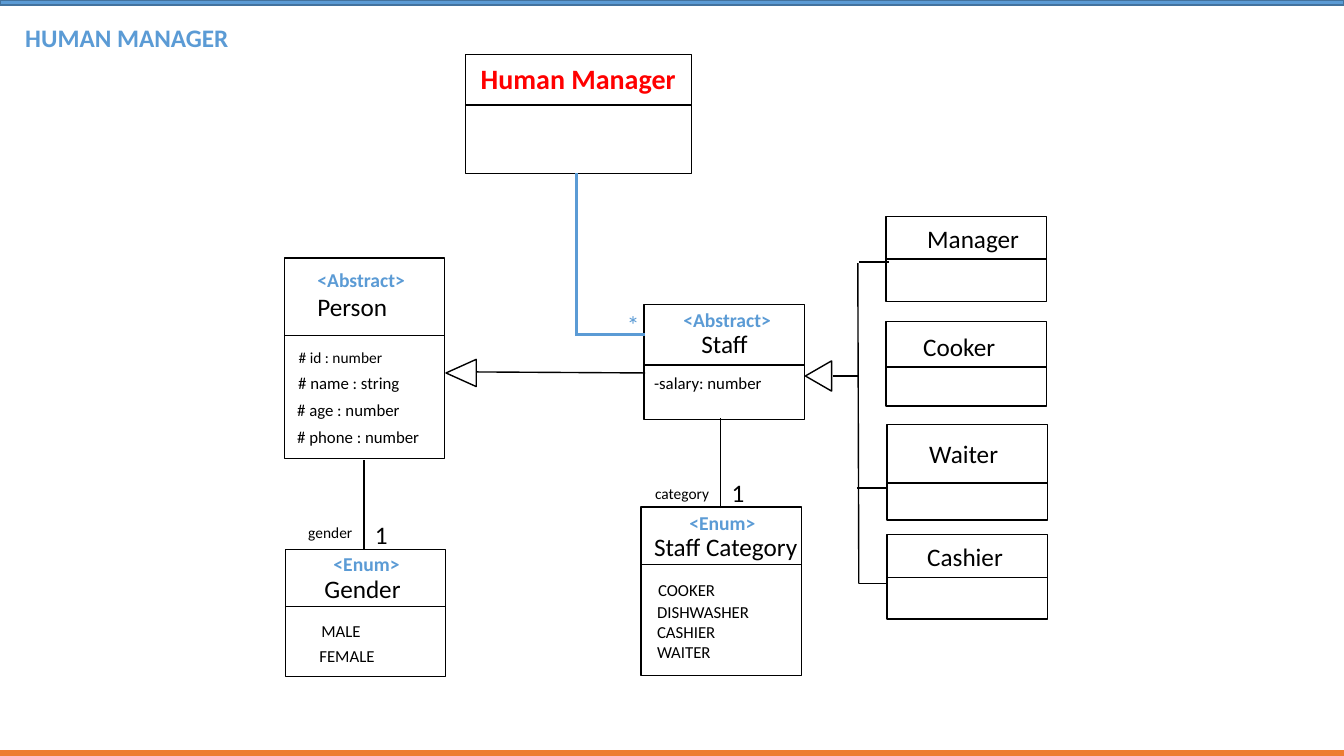
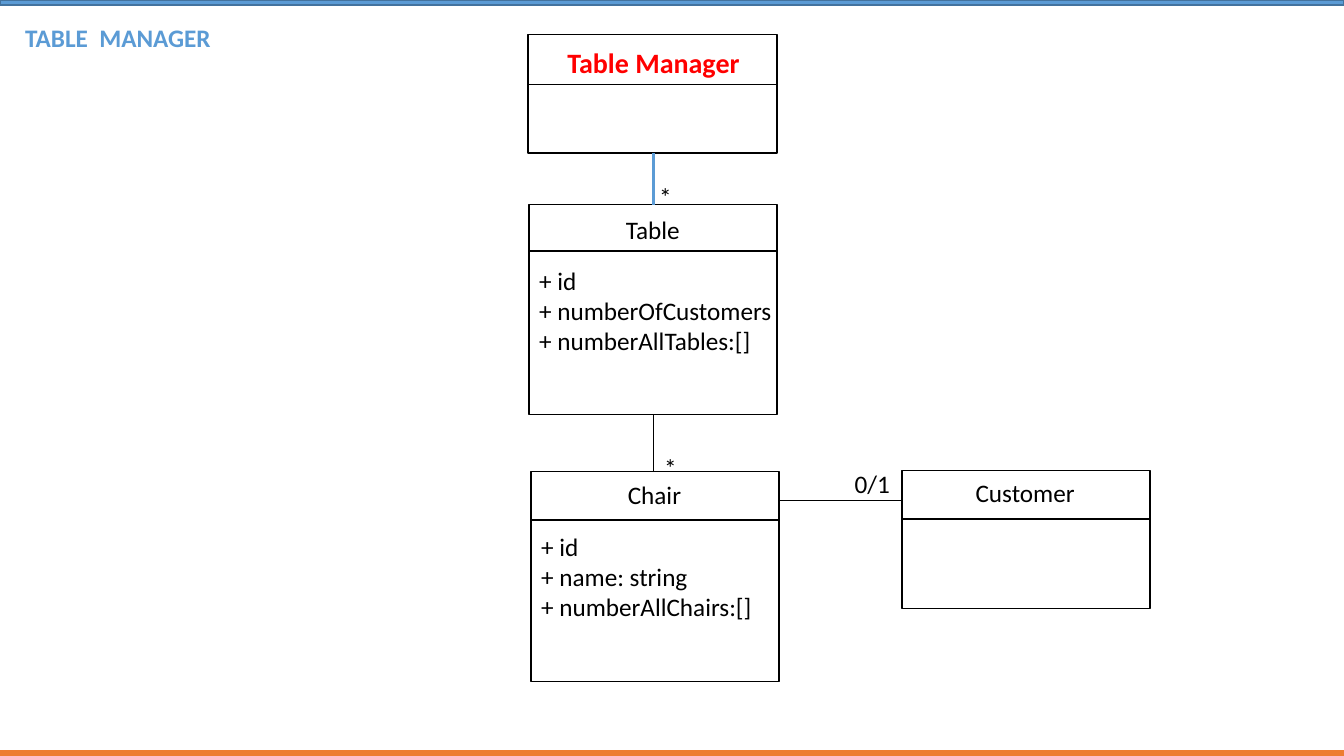
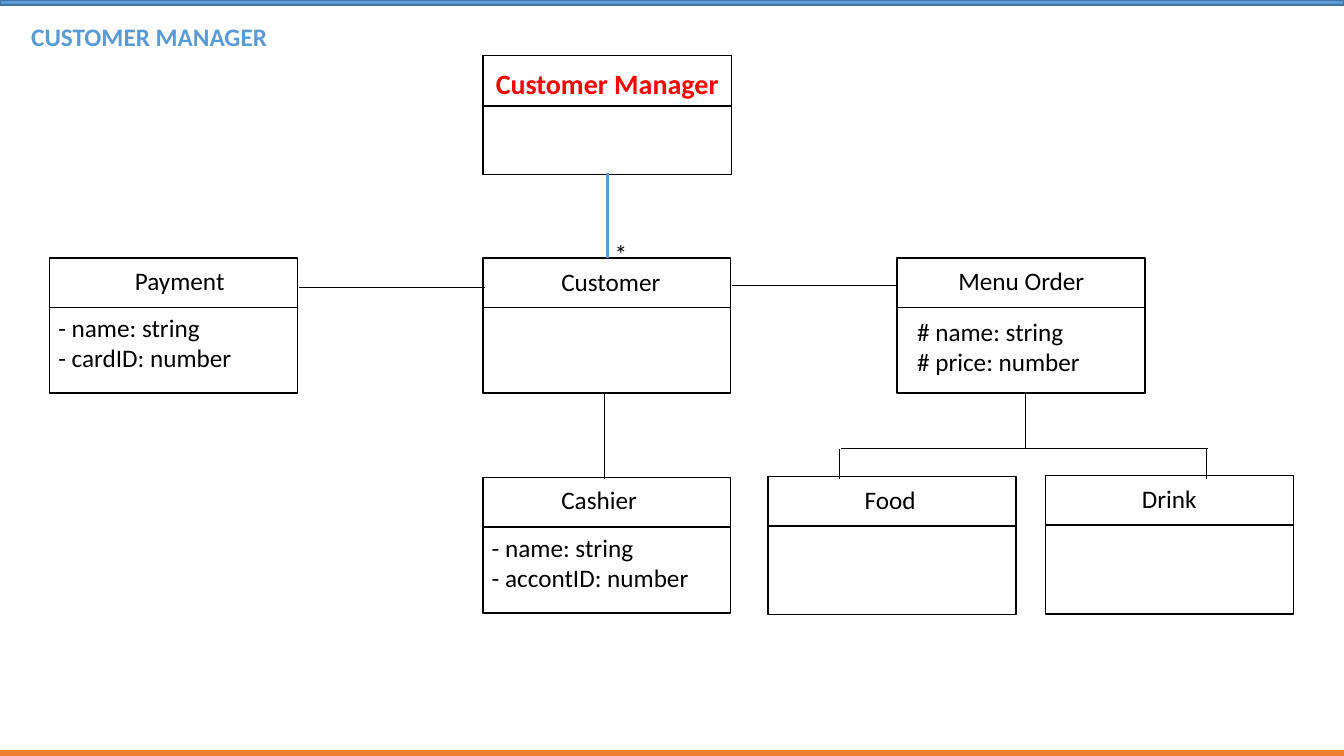
from lxml.etree import SubElement
from pptx import Presentation
from pptx.dml.color import RGBColor
from pptx.enum.shapes import MSO_CONNECTOR, MSO_SHAPE
from pptx.enum.text import MSO_ANCHOR, MSO_AUTO_SIZE, PP_ALIGN
from pptx.oxml.ns import qn
from pptx.util import Inches, Pt

COLS, ROWS = 133.33, 75
FONT = "Calibri"
BLACK, WHITE, RED = "000000", "FFFFFF", "FF0000"
BLUE, DARK_BLUE, ORANGE = "5B9BD5", "43739E", "ED7D31"
THIN, NORMAL, THICK = 0.5, 1, 2.25


def grid(*cells):
    """Turn grid cells, ten to the inch, into lengths."""
    return [Inches(c / 10) for c in cells]


def rgb(color):
    """Turn a hex string into a colour."""
    return RGBColor.from_string(color)


def style(p, size, color, bold):
    """Format the runs of a paragraph."""
    for r in p.runs:
        r.font.name, r.font.size, r.font.bold = FONT, Pt(size), bold
        r.font.color.rgb = rgb(color)


def shape(s, kind, left, top, width, height, fill=WHITE, line=BLACK):
    """Add a filled and outlined preset shape."""
    sp = s.shapes.add_shape(kind, *grid(left, top, width, height))
    sp.shadow.inherit = False
    sp.fill.solid()
    sp.fill.fore_color.rgb = rgb(fill)
    sp.line.color.rgb = rgb(line)
    sp.line.width = Pt(NORMAL)
    return sp


def link(s, x1, y1, x2, y2, color=BLACK, weight=NORMAL):
    """Add a straight line between two grid points."""
    c = s.shapes.add_connector(MSO_CONNECTOR.STRAIGHT, *grid(x1, y1, x2, y2))
    c.line.color.rgb = rgb(color)
    c.line.width = Pt(weight)
    SubElement(c._element.spPr, qn("a:effectLst"))


def label(s, text, left, top, width, size=18, color=BLACK, bold=False, rows=0, wrap=False):
    """Add a text box as tall as its rows and return its text frame."""
    rows = rows or text.count("\n") + 1
    height = 1 + rows * size / 6
    tf = s.shapes.add_textbox(*grid(left, top, width, height)).text_frame
    tf.text = text
    tf.word_wrap = wrap
    tf.auto_size = MSO_AUTO_SIZE.SHAPE_TO_FIT_TEXT
    for p in tf.paragraphs:
        style(p, size, color, bold)
    return tf


def class_box(s, left, top, width, height, split, shift=0):
    """Add a class rectangle with a divider below its name."""
    shape(s, MSO_SHAPE.RECTANGLE, left, top, width, height)
    link(s, left + shift, top + split, left + shift + width, top + split)


def manager_box(s, name, left, top, width, name_left, name_top, name_width):
    """Add the box of the managing class with its red name."""
    class_box(s, left, top, width, 11.8, 5)
    label(s, name, name_left, name_top, name_width, 20, RED, True)


def inherit_arrow(s, left, top, width, height):
    """Add a hollow triangle that points left."""
    shape(s, MSO_SHAPE.ISOSCELES_TRIANGLE, left, top, width, height).rotation = 270


def tag(s, text, left, top, width):
    """Add a blue stereotype tag."""
    label(s, text, left, top, width, 14, BLUE, True)


def base_slide(prs, title, left, top, width):
    """Add a slide with its title and the two edge bands."""
    s = prs.slides.add_slide(prs.slide_layouts[5])
    sp = s.shapes.title
    sp.left, sp.top, sp.width, sp.height = grid(left, top, width, 4)
    tf = sp.text_frame
    tf.text = title
    tf.word_wrap = False
    tf.auto_size = MSO_AUTO_SIZE.NONE
    tf.vertical_anchor = MSO_ANCHOR.TOP
    p = tf.paragraphs[0]
    p.alignment = PP_ALIGN.LEFT
    style(p, 18, BLUE, True)
    for band_top, fill, line in ((0, BLUE, DARK_BLUE), (ROWS - 0.5, ORANGE, ORANGE)):
        shape(s, MSO_SHAPE.FLOWCHART_PROCESS, 0, band_top, COLS, 0.5, fill, line)
    return s


def human_people(s):
    """Draw the person and gender classes."""
    class_box(s, 28.2, 25.6, 15.9, 19.9, 7.7)
    tf = label(s, "<Abstract>\nPerson", 30.5, 26.1, 10.8, rows=3)
    style(tf.paragraphs[0], 14, BLUE, True)
    label(s, " # id : number", 28.3, 34, 10.7, 11)
    fields = (("# name : string", 28.6, 12.2), ("# age : number", 28.5, 12.3),
              ("# phone : number", 28.5, 14.2))
    for i, (text, left, width) in enumerate(fields):
        label(s, text, left, 36.5 + 2.65 * i, width, 12)
    class_box(s, 28.3, 54.5, 15.9, 12.6, 5.7)
    tag(s, "<Enum>", 32.1, 54.3, 8.6)
    label(s, "Gender", 31.2, 56.4, 9.7)
    label(s, "MALE", 30.9, 61.1, 6, 12)
    label(s, "FEMALE", 30.7, 63.6, 7.6, 12)
    link(s, 36.1, 54.5, 36.1, 45.6)
    label(s, "gender", 29.6, 51.4, 6.4, 11)
    label(s, "1", 36.2, 51, 3.3)


def human_staff(s):
    """Draw the staff and staff category classes."""
    class_box(s, 63.9, 30.2, 15.9, 11.4, 6)
    tag(s, "<Abstract>", 66.8, 30.1, 10.8)
    label(s, "Staff", 68.6, 32.1, 6.7)
    label(s, "-salary: number", 63.9, 36.5, 12.8, 12)
    class_box(s, 63.6, 50.3, 15.9, 16.7, 5.7)
    tag(s, "<Enum>", 67.4, 50.2, 8.6)
    label(s, "Staff Category", 63.9, 52.2, 16.4)
    label(s, "COOKER", 64.3, 57, 7.8, 12)
    label(s, "DISHWASHER\nCASHIER\nWAITER", 64.2, 59.2, 11.3, 12, rows=4)
    link(s, 71.5, 50.4, 71.5, 41.5)
    label(s, "category", 64, 47.5, 7.5, 11)
    label(s, "1", 71.6, 46.9, 3.3)


def human_slide(prs):
    """Build the human manager diagram."""
    s = base_slide(prs, "HUMAN MANAGER", 1.5, 1.7, 22.4)
    manager_box(s, "Human Manager", 46.2, 5.4, 22.4, 46.7, 5.6, 21.6)
    human_people(s)
    human_staff(s)
    roles = (("Manager ", 87.9, 21.5, 8.4, 4.2, 91, 21.7, 14, True),
             ("Cooker", 87.9, 31.9, 8.4, 4.5, 90.6, 32.4, 9.2, False),
             ("Waiter", 88, 42.1, 9.5, 5.8, 91.2, 43, 8.9, False),
             ("Cashier ", 88, 53, 8.4, 4.3, 91, 53.2, 14, True))
    for name, left, top, height, split, name_left, name_top, width, wrap in roles:
        class_box(s, left, top, 15.9, height, split, 0.1)
        label(s, name, name_left, name_top, width, wrap=wrap)
    link(s, 85.2, 57.9, 85.1, 26.1)
    for y, x1, x2 in ((26, 85.2, 88.2), (48.4, 85, 88), (57.9, 85.2, 88.1), (37.3, 82.6, 85.2)):
        link(s, x1, y, x2, y)
    link(s, 47.2, 36.9, 64, 37)
    inherit_arrow(s, 44.4, 35.5, 2.7, 3)
    inherit_arrow(s, 79.7, 36, 3, 2.6)
    link(s, 57.2, 33.3, 57.2, 17.2, BLUE, THICK)
    link(s, 64, 33.2, 57.2, 33.2, BLUE, THICK)
    label(s, "*", 61.2, 30.2, 3.3, color=BLUE)


def table_slide(prs):
    """Build the table manager diagram."""
    s = base_slide(prs, "TABLE  MANAGER", 1.5, 1.7, 20.6)
    manager_box(s, "Table Manager", 52.4, 3.4, 24.7, 55.3, 4, 19.3)
    classes = (("Table", 52.5, 20.3, 20.8, 4.6, 61.1, 20.8, 7.4),
               ("Chair", 52.7, 46.8, 20.8, 4.8, 61.3, 47.1, 7.4),
               ("Customer", 89.5, 46.7, 13.7, 4.8, 95.8, 46.9, 12))
    for name, left, top, height, split, name_left, name_top, width in classes:
        class_box(s, left, top, 24.6, height, split)
        label(s, name, name_left, name_top, width)
    label(s, "+ id\n+ numberOfCustomers\n+ numberAllTables:[]", 52.5, 25.8, 25.3, rows=4)
    label(s, "+ id\n+ name: string\n+ numberAllChairs:[]", 52.7, 52.2, 23.1, rows=4)
    link(s, 64.8, 20.3, 64.8, 15.2, BLUE, THICK)
    link(s, 64.8, 41.1, 64.8, 46.8, weight=THIN)
    link(s, 77.3, 49.6, 89.5, 49.6, weight=THIN)
    for text, left, top, width in (("*", 64.4, 17.5, 3.3), ("*", 64.9, 44.4, 3.3),
                                   ("0/1", 83.8, 46, 5.6)):
        label(s, text, left, top, width, rows=2)


def customer_slide(prs):
    """Build the customer manager diagram."""
    s = base_slide(prs, "CUSTOMER MANAGER", 2.1, 1.6, 25.6)
    manager_box(s, "Customer Manager", 47.9, 5.5, 24.7, 48.2, 6.1, 24.3)
    classes = (("Payment ", 4.9, 25.6, 13.4, 12.4, 25.8, 11.6, False),
               ("Customer", 47.9, 25.6, 13.4, 54.7, 25.9, 12, False),
               ("Menu Order", 89, 25.6, 13.4, 94.1, 25.8, 17, True),
               ("Cashier", 47.9, 47.4, 13.4, 54.7, 47.6, 9.6, False),
               ("Food", 76.2, 47.3, 13.7, 84.8, 47.6, 7.1, False),
               ("Drink", 103.7, 47.2, 13.7, 112.3, 47.5, 7.5, False))
    for name, left, top, height, name_left, name_top, width, wrap in classes:
        class_box(s, left, top, 24.6, height, 4.9)
        label(s, name, name_left, name_top, width, wrap=wrap)
    label(s, "- name: string\n- cardID: number", 4.8, 30.5, 19.4, rows=3)
    label(s, "# name: string\n# price: number", 90, 30.9, 18.4)
    label(s, "- name: string\n- accontID: number", 47.8, 52.3, 21.8, rows=3)
    label(s, "*", 60, 23.2, 3.3, rows=2)
    link(s, 60.3, 25.6, 60.3, 17.2, BLUE, THICK)
    for ends in ((29.7, 28.5, 48.1, 28.5), (72.6, 28.3, 89, 28.3), (60, 39, 60, 47.5),
                 (101.7, 39, 101.7, 44.5), (83.4, 44.5, 119.8, 44.5)):
        link(s, *ends, weight=THIN)
    for x in (83.3, 119.7):
        link(s, x, 44.5, x, 47.5)


def main():
    """Build and save the presentation."""
    prs = Presentation()
    prs.slide_width, prs.slide_height = grid(COLS, ROWS)
    human_slide(prs)
    table_slide(prs)
    customer_slide(prs)
    prs.save("out.pptx")


main()
